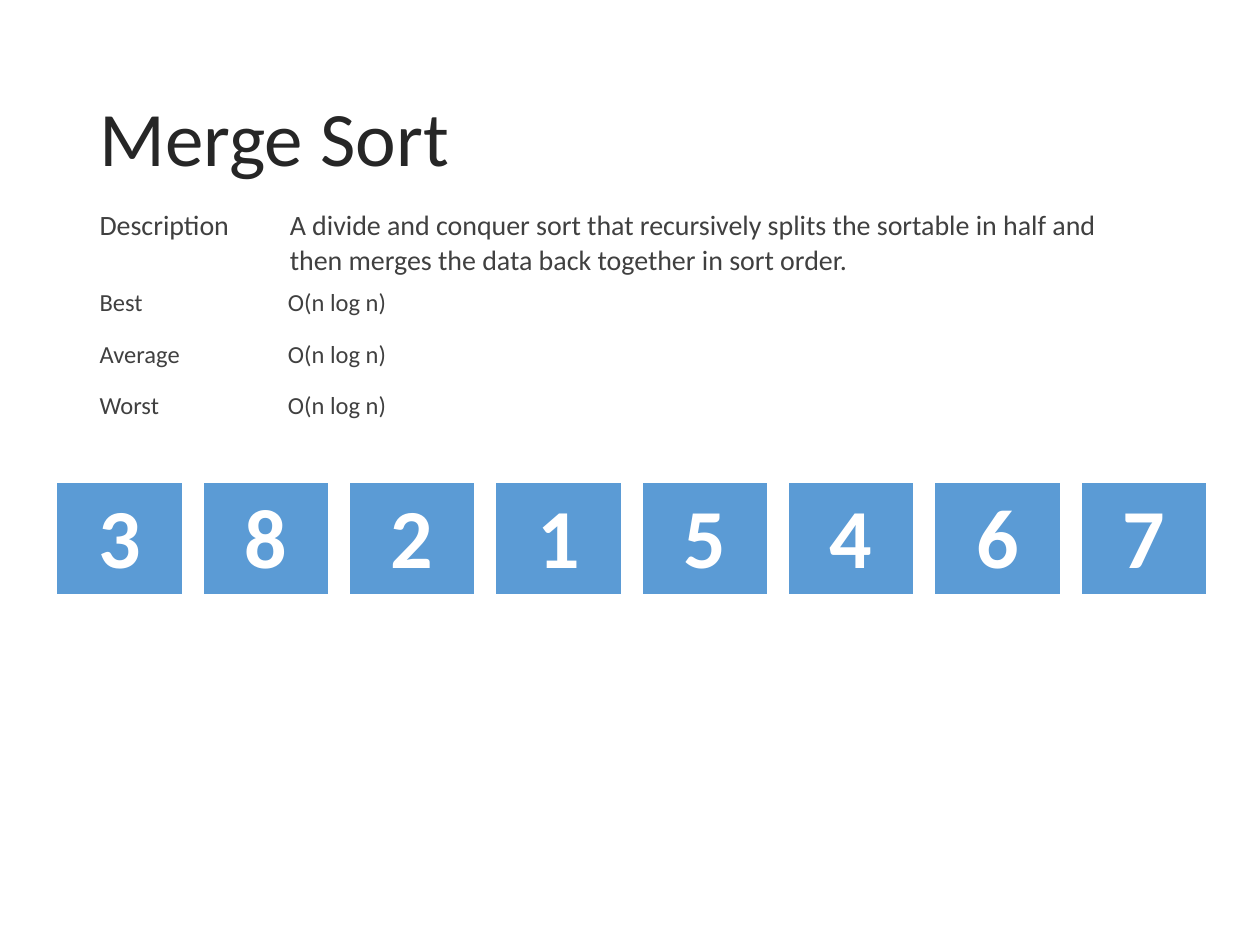
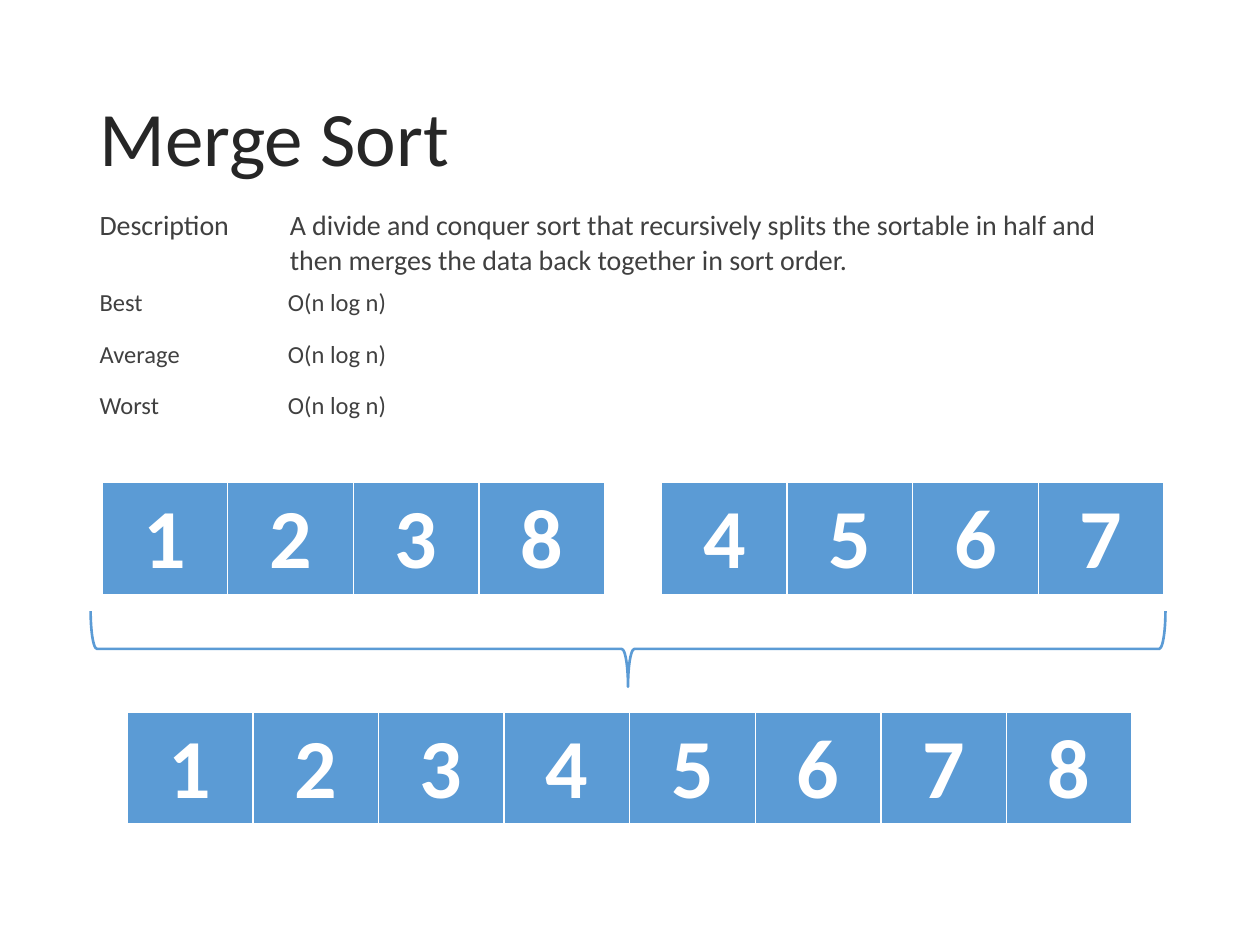
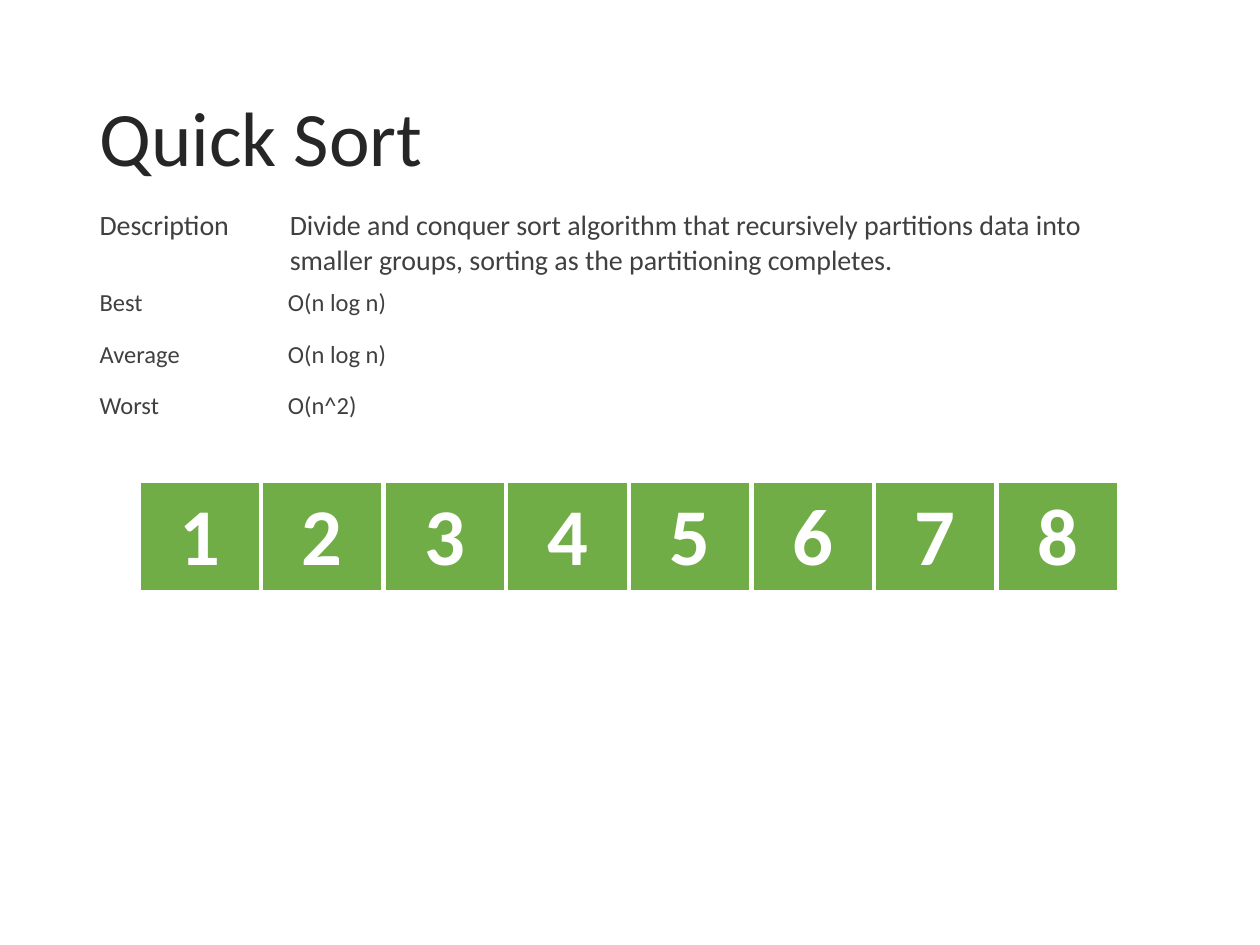
import pptx
import pptx.util
import pptx.dml.color
import pptx.enum.shapes
import pptx.enum.text
import pptx.oxml
import pptx.oxml.ns
from dataclasses import dataclass


@dataclass(frozen=True)
class Theme:
    font: str = "Calibri"
    title: str = "262626"
    body: str = "404040"
    white: str = "FFFFFF"
    blue: str = "5B9BD5"
    green: str = "70AD47"
    head: int = 44
    text: int = 16
    small: int = 14
    digit: int = 48
    quick: int = 46


THEME = Theme()
COLS, ROWS = 100, 75
LEFT = 6.9
TOP = 38.3
MERGE = ("A divide and conquer sort that recursively splits the sortable in half "
         "and then merges the data back together in sort order.")
QUICK = ("Divide and conquer sort algorithm that recursively partitions data into "
         "smaller groups, sorting as the partitioning completes.")


def grid(count):
    return pptx.util.Inches(count / 10)


def box(*counts):
    return [grid(count) for count in counts]


def color(code):
    return pptx.dml.color.RGBColor.from_string(code)


def style(para, size, code, bold=False):
    para.font.name = THEME.font
    para.font.size = pptx.util.Pt(size)
    para.font.color.rgb = color(code)
    para.font.bold = bold


def edge(cell):
    props = cell._tc.get_or_add_tcPr()
    for side, width in (("L", 1), ("R", 1), ("T", 1), ("B", 3)):
        props.append(pptx.oxml.parse_xml(
            f'<a:ln{side} {pptx.oxml.ns.nsdecls("a")} w="{pptx.util.Pt(width)}">'
            f'<a:solidFill><a:srgbClr val="{THEME.white}"/></a:solidFill></a:ln{side}>'))


def table(slide, rows, left, top, widths, height):
    frame = slide.shapes.add_table(
        len(rows), len(widths), *box(left, top, sum(widths), height * len(rows)))
    sheet = frame.table
    sheet.first_row = sheet.horz_banding = False
    for col, width in zip(sheet.columns, widths):
        col.width = grid(width)
    for line, row in zip(rows, sheet.rows):
        for text, cell in zip(line, row.cells):
            cell.text = text
    return sheet


def facts(slide, rows, top, widths, size):
    for cell in table(slide, rows, LEFT, top, widths, 4.06).iter_cells():
        cell.fill.background()
        style(cell.text_frame.paragraphs[0], size, THEME.body)


def strip(slide, digits, left, top, width=9.97, height=8.95,
          fill=THEME.blue, size=THEME.digit):
    sheet = table(slide, [digits], left, top, [width] * len(digits), height)
    for cell in sheet.iter_cells():
        edge(cell)
        cell.fill.solid()
        cell.fill.fore_color.rgb = color(fill)
        para = cell.text_frame.paragraphs[0]
        para.alignment = pptx.enum.text.PP_ALIGN.CENTER
        style(para, size, THEME.white, True)


def spread(slide, digits, first, last, **look):
    step = (last - first) / (len(digits) - 1)
    for place, digit in enumerate(digits):
        strip(slide, digit, first + place * step, TOP, **look)


def brace(slide, left, top, width, height):
    shape = slide.shapes.add_shape(
        pptx.enum.shapes.MSO_SHAPE.LEFT_BRACE,
        *box(left + (width - height) / 2, top + (height - width) / 2, height, width))
    shape.rotation = 270
    shape.shadow.inherit = False
    shape.fill.background()
    shape.line.color.rgb = color(THEME.blue)
    shape.line.width = pptx.util.Pt(1.5)


def title(slide, text):
    frame = slide.shapes.add_textbox(*box(LEFT, 4, COLS - 2 * LEFT, 14.5)).text_frame
    frame.word_wrap = True
    frame.vertical_anchor = pptx.enum.text.MSO_ANCHOR.MIDDLE
    para = frame.paragraphs[0]
    para.text = text
    para.line_spacing = 0.9
    style(para, THEME.head, THEME.title)


def page(deck, name, about, worst):
    slide = deck.slides.add_slide(deck.slide_layouts[6])
    title(slide, name)
    facts(slide, [("Description", about)], 16.1, (15.1, 67.2), THEME.text)
    costs = [("Best", "O(n log n)"), ("Average", "O(n log n)"), ("Worst", worst)]
    facts(slide, costs, 22.4, (14.95, 14.95), THEME.small)
    return slide


def main():
    deck = pptx.Presentation()
    deck.slide_width, deck.slide_height = box(COLS, ROWS)

    start = page(deck, "Merge Sort", MERGE, "O(n log n)")
    spread(start, "38215467", 4.5, 85.8)

    merge = page(deck, "Merge Sort", MERGE, "O(n log n)")
    brace(merge, 7.2, 48.5, 85.3, 6)
    strip(merge, "1238", 8.1, TOP)
    strip(merge, "4567", 52.5, TOP)
    strip(merge, "12345678", 10.1, 56.5)

    quick = page(deck, "Quick Sort", QUICK, "O(n^2)")
    spread(quick, "12345678", 11.1, 79.2, width=9.5, height=8.6,
           fill=THEME.green, size=THEME.quick)

    deck.save("out.pptx")


if __name__ == "__main__":
    main()
